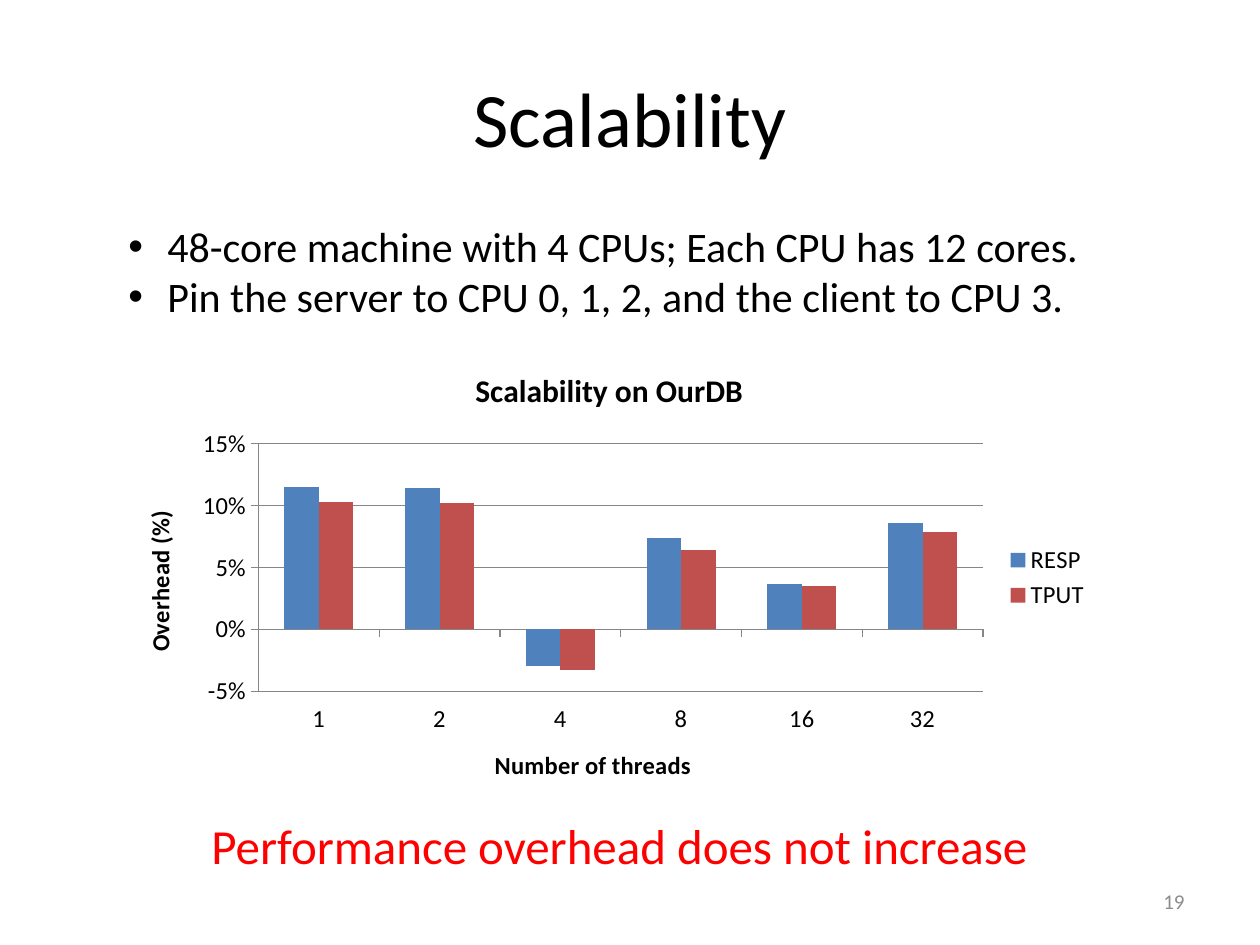
from pptx import Presentation
from pptx.chart.data import CategoryChartData
from pptx.dml.color import RGBColor
from pptx.enum.chart import (XL_CHART_TYPE as ChartType, XL_LEGEND_POSITION as LegendPos,
                             XL_TICK_LABEL_POSITION as LabelPos, XL_TICK_MARK as Tick)
from pptx.enum.text import MSO_ANCHOR as Anchor, PP_ALIGN as Align
from pptx.oxml.xmlchemy import OxmlElement
from pptx.util import Emu, Pt

PX = 9144
FONT = "Calibri"
COLORS = {"text": "000000", "number": "8C8C8C", "accent": "FF0000",
          "axis": "868686", "RESP": "4F81BD", "TPUT": "C0504D"}
THREADS = ["1", "2", "4", "8", "16", "32"]
OVERHEAD = {"RESP": [0.115, 0.114, -0.03, 0.074, 0.037, 0.086],
            "TPUT": [0.103, 0.102, -0.033, 0.064, 0.035, 0.079]}
POINTS = ["48-core machine with 4 CPUs; Each CPU has 12 cores.",
          "Pin the server to CPU 0, 1, 2, and the client to CPU 3."]


def px(*lengths):
    """Turn px lengths into EMU."""
    return [Emu(n * PX) for n in lengths]


def rgb(name):
    """Look up a named colour."""
    return RGBColor.from_string(COLORS[name])


def style(font, size, color="text", bold=False):
    """Set the face, size, colour and weight of a font."""
    font.name, font.size, font.bold = FONT, Pt(size), bold
    font.color.rgb = rgb(color)


def add_title(slide, box, text):
    """Place the title placeholder in the box."""
    sp = slide.shapes.title
    sp.left, sp.top, sp.width, sp.height = px(*box)
    tf = sp.text_frame
    tf.text, tf.vertical_anchor = text, Anchor.MIDDLE
    p = tf.paragraphs[0]
    p.alignment = Align.CENTER
    style(p.font, 44)


def add_text(slide, box, lines, size, color="text", align=Align.LEFT,
             anchor=Anchor.TOP, wrap=True):
    """Add a text box with one paragraph per line."""
    tf = slide.shapes.add_textbox(*px(*box)).text_frame
    tf.word_wrap, tf.vertical_anchor = wrap, anchor
    tf.text = "\n".join(lines)
    for p in tf.paragraphs:
        p.alignment = align
        style(p.font, size, color)
    return tf


def add_bullets(slide, box, lines, indent=31):
    """Add a bulleted list with hanging indents."""
    for p in add_text(slide, box, lines, 24).paragraphs:
        pPr = p._p.get_or_add_pPr()
        pPr.set("marL", str(indent * PX))
        pPr.set("indent", str(-indent * PX))
        face, mark = OxmlElement("a:buFont"), OxmlElement("a:buChar")
        face.set("typeface", "Arial")
        mark.set("char", "•")
        pPr.insert_element_before(face, "a:tabLst", "a:defRPr", "a:extLst")
        pPr.insert_element_before(mark, "a:tabLst", "a:defRPr", "a:extLst")


def set_heading(owner, text, size):
    """Give a chart or axis title its bold text."""
    tf = owner.text_frame
    tf.text = text
    style(tf.paragraphs[0].font, size, bold=True)
    return tf


def format_axis(axis, title):
    """Format the line, ticks, labels and title of an axis."""
    axis.major_tick_mark, axis.minor_tick_mark = Tick.OUTSIDE, Tick.NONE
    axis.format.line.color.rgb = rgb("axis")
    style(axis.tick_labels.font, 14)
    return set_heading(axis.axis_title, title, 14)


def add_overhead_chart(slide, box):
    """Add the clustered columns of overhead by thread count."""
    data = CategoryChartData(number_format="0%")
    data.categories = THREADS
    for name, values in OVERHEAD.items():
        data.add_series(name, values)
    chart = slide.shapes.add_chart(ChartType.COLUMN_CLUSTERED, *px(*box), data).chart
    style(chart.font, 10)
    set_heading(chart.chart_title, "Scalability on OurDB", 18)

    cat, val = chart.category_axis, chart.value_axis
    format_axis(cat, "Number of threads")
    cat.tick_label_position = LabelPos.LOW
    body = format_axis(val, "Overhead (%)")._txBody.bodyPr
    body.set("rot", "-5400000")
    body.set("vert", "horz")
    val.minimum_scale, val.maximum_scale, val.major_unit = -0.05, 0.15, 0.05
    val.tick_labels.number_format = "0%"
    val.tick_labels.number_format_is_linked = False
    val.major_gridlines.format.line.color.rgb = rgb("axis")

    chart.has_legend = True
    legend = chart.legend
    legend.position, legend.include_in_layout = LegendPos.RIGHT, False
    style(legend.font, 14)

    plot = chart.plots[0]
    plot.gap_width, plot.overlap, plot.vary_by_categories = 150, 0, False
    for series in plot.series:
        series.invert_if_negative = False
        fill = series.format.fill
        fill.solid()
        fill.fore_color.rgb = rgb(series.name)


def main():
    """Build and save the slide."""
    prs = Presentation()
    prs.slide_width, prs.slide_height = px(1000, 750)
    slide = prs.slides.add_slide(prs.slide_layouts[5])
    add_title(slide, (50, 30, 900, 125), "Scalability")
    add_text(slide, (717, 695, 233, 40), ["19"], 12, "number", Align.RIGHT, Anchor.MIDDLE)
    add_bullets(slide, (92, 170, 858, 91), POINTS)
    add_overhead_chart(slide, (92, 275, 783, 367))
    add_text(slide, (158, 642, 675, 57), ["Performance overhead does not increase"],
             28, "accent", wrap=False)
    prs.save("out.pptx")


if __name__ == "__main__":
    main()
